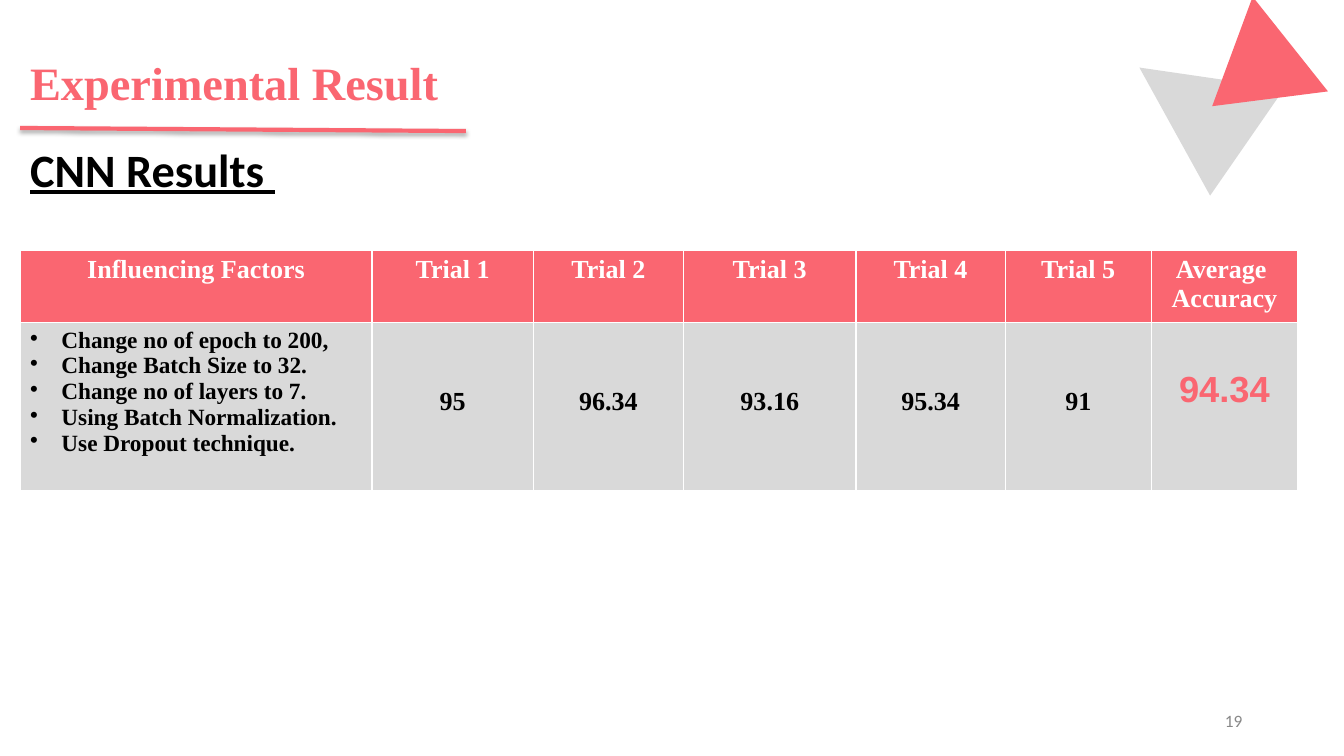
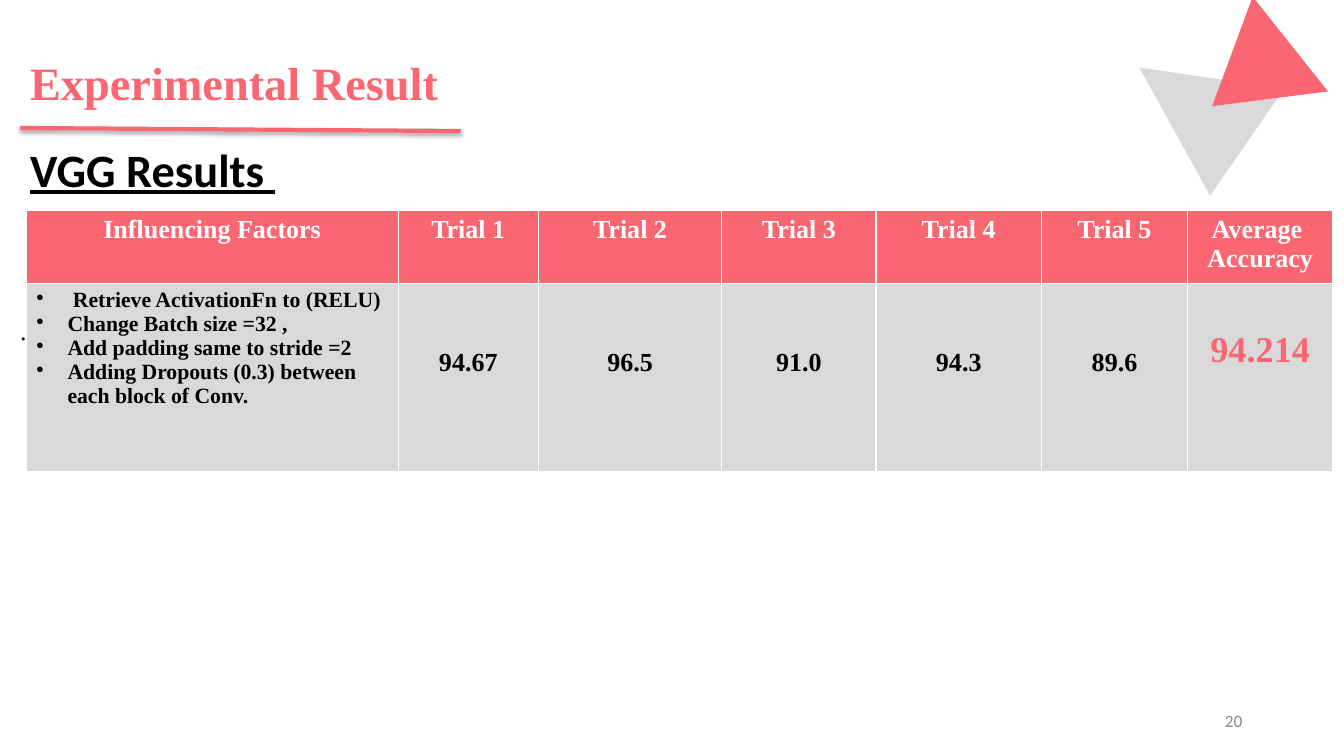
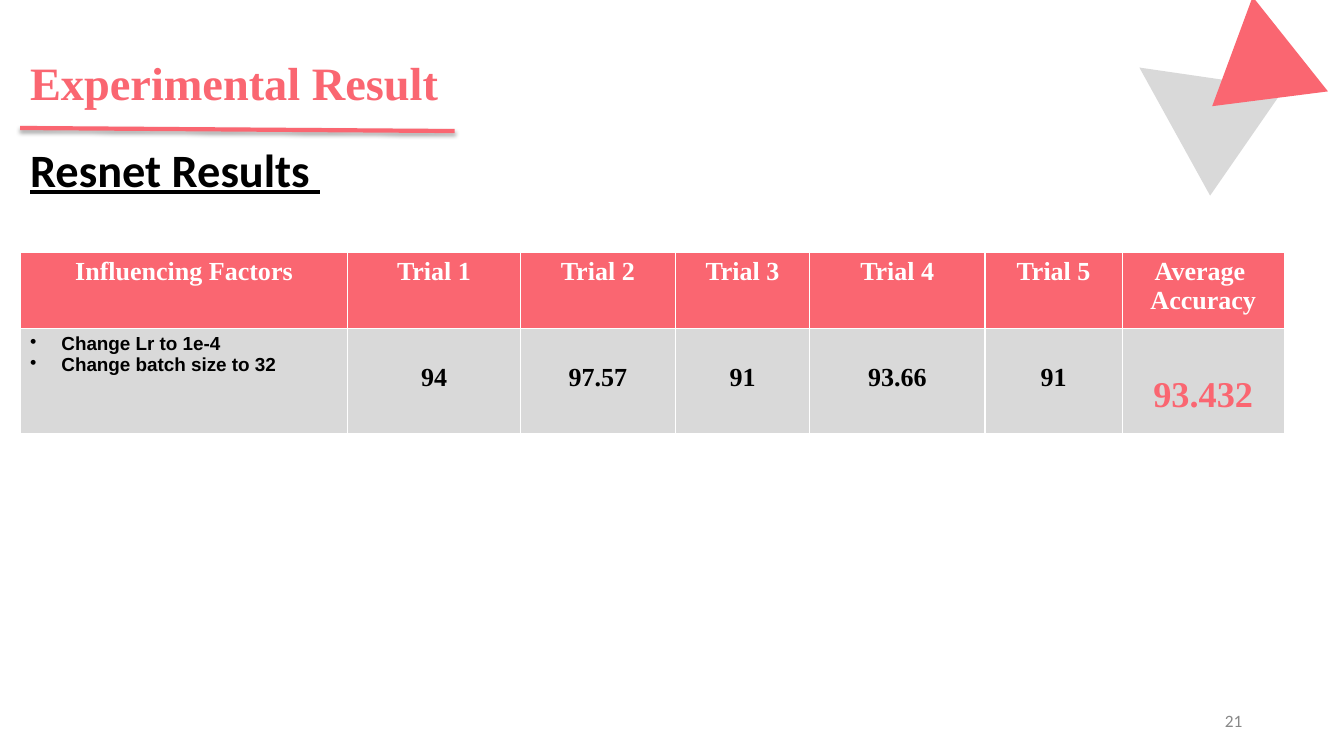
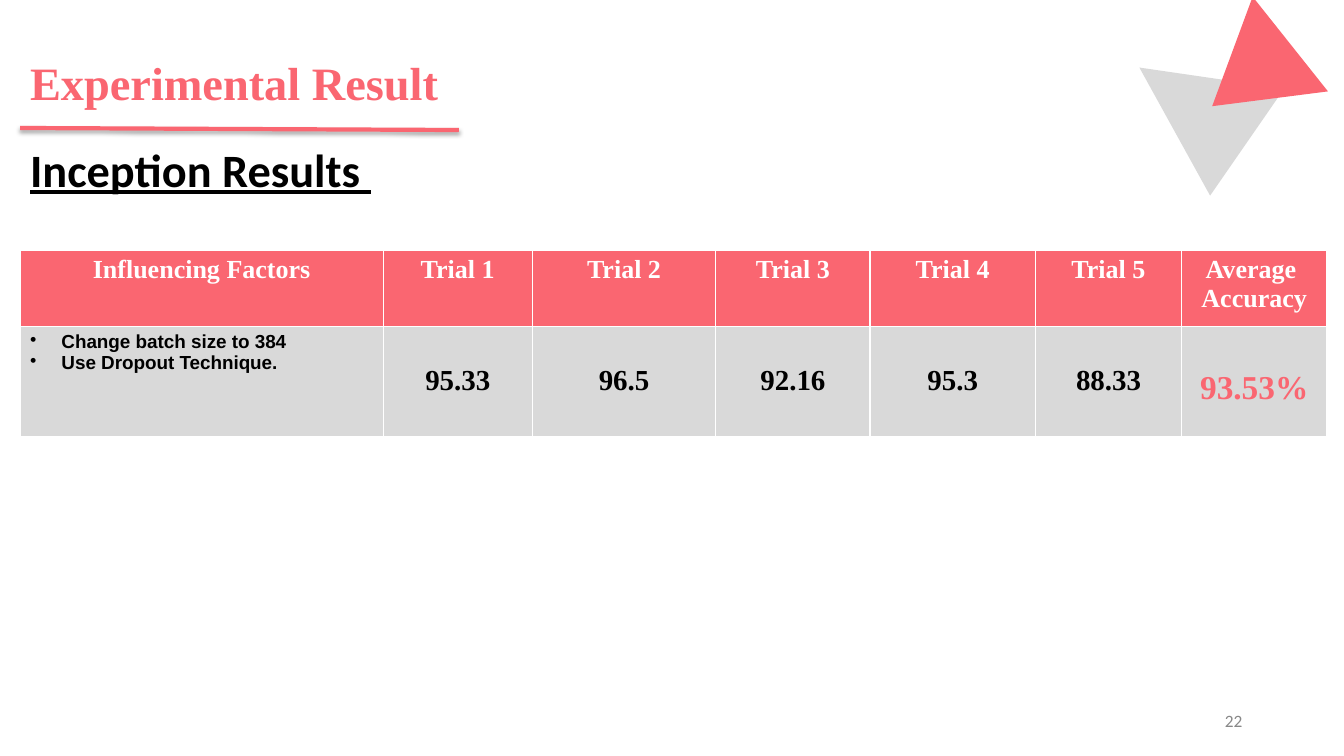
from dataclasses import dataclass

from pptx import Presentation
from pptx.dml.color import RGBColor
from pptx.enum.shapes import MSO_CONNECTOR, MSO_SHAPE
from pptx.enum.text import MSO_ANCHOR, PP_ALIGN
from pptx.oxml import parse_xml
from pptx.oxml.ns import nsdecls
from pptx.util import Emu, Pt

LEFT, CENTER, RIGHT = PP_ALIGN.LEFT, PP_ALIGN.CENTER, PP_ALIGN.RIGHT
TOP, MIDDLE, BOTTOM = MSO_ANCHOR.TOP, MSO_ANCHOR.MIDDLE, MSO_ANCHOR.BOTTOM
TRIANGLE = MSO_SHAPE.ISOSCELES_TRIANGLE
STRAIGHT = MSO_CONNECTOR.STRAIGHT

EMU_PER_PX = 9144
PX_PER_POINT = 100 / 72
LINE_HEIGHT = 1.15
INSET_X, INSET_Y = 10, 5
BULLET_INDENT = 31
FIRST_PAGE_NUMBER = 19
TRIALS = [f"Trial {number}" for number in range(1, 6)]


@dataclass(frozen=True)
class Theme:
    accent: str = "FA6671"
    panel: str = "D9D9D9"
    ink: str = "000000"
    paper: str = "FFFFFF"
    muted: str = "888888"
    serif: str = "Times New Roman"
    sans: str = "Calibri"
    plain: str = "Arial"
    heading: float = 33.1
    body: float = 18.6
    footer: float = 12.4


THEME = Theme()


@dataclass(frozen=True)
class Style:
    size: float
    font: str = THEME.serif
    color: str = THEME.ink
    bold: bool = True
    underline: bool = False


TITLE = Style(THEME.heading, color=THEME.accent)
SUBTITLE = Style(THEME.heading, THEME.sans, underline=True)
PAGE_NUMBER = Style(THEME.footer, THEME.sans, THEME.muted, bold=False)
STRAY_DOT = Style(THEME.body, bold=False)
TABLE_HEAD = Style(THEME.body, color=THEME.paper)


@dataclass(frozen=True)
class Result:
    """One model's slide: its factors, trial scores and table geometry."""
    subtitle: str
    rule_end: tuple
    table_at: tuple
    columns: tuple
    rows: tuple
    factors: tuple
    factor_style: Style
    scores: tuple
    average: str
    average_style: Style
    score_style: Style = Style(THEME.body)
    lines_above_score: int = 1
    dot: bool = False


RESULTS = [
    Result("CNN Results ", (462, 130), (20, 248),
           (349, 160, 149, 171, 148, 145, 145), (69, 167),
           ("Change no of epoch to 200,", "Change Batch Size to 32.",
            "Change no of layers to 7.", "Using Batch Normalization.",
            "Use Dropout technique."),
           Style(16.6), ("95", "96.34", "93.16", "95.34", "91"),
           "94.34", Style(25.9, THEME.plain, THEME.accent),
           lines_above_score=2),
    Result("VGG Results ", (457, 130), (26, 209),
           (369, 139, 182, 153, 164, 145, 144), (69, 187),
           (" Retrieve ActivationFn to (RELU)", "Change Batch size =32 ,",
            "Add padding same to stride =2",
            "Adding Dropouts (0.3) between each block of Conv."),
           Style(15.5), ("94.67", "96.5", "91.0", "94.3", "89.6"),
           "94.214", Style(25.9, color=THEME.accent),
           lines_above_score=2, dot=True),
    Result("Resnet Results ", (451, 130), (20, 250),
           (325, 171, 154, 133, 174, 136, 161), (76, 104),
           ("Change Lr to 1e-4", "Change batch size to 32"),
           Style(13.5, THEME.plain), ("94", "97.57", "91", "93.66", "91"),
           "93.432", Style(25.9, color=THEME.accent)),
    Result("Inception Results ", (455, 129), (20, 248),
           (360, 148, 182, 153, 164, 145, 144), (76, 109),
           ("Change batch size to 384", "Use Dropout Technique."),
           Style(13.5, THEME.plain),
           ("95.33", "96.5", "92.16", "95.3", "88.33"),
           "93.53%", Style(23.8, color=THEME.accent),
           score_style=Style(20.7)),
]


def px(length):
    return Emu(round(length * EMU_PER_PX))


def rgb(color):
    return RGBColor.from_string(color)


def add_span(para, text, style):
    span = para.add_run()
    span.text = text
    font = span.font
    font.name, font.size = style.font, Pt(style.size)
    font.bold, font.underline = style.bold, style.underline
    font.color.rgb = rgb(style.color)


def add_bullet(para):
    properties = para._p.get_or_add_pPr()
    properties.set("marL", str(px(BULLET_INDENT)))
    properties.set("indent", str(-px(BULLET_INDENT)))
    properties.append(parse_xml(
        f'<a:buClr {nsdecls("a")}><a:srgbClr val="{THEME.ink}"/></a:buClr>'))
    properties.append(parse_xml(f'<a:buChar {nsdecls("a")} char="•"/>'))


def write(frame, lines, style, align=LEFT, bullets=False):
    for index, line in enumerate(lines):
        para = frame.add_paragraph() if index else frame.paragraphs[0]
        para.alignment = align
        if bullets:
            add_bullet(para)
        add_span(para, line, style)


def add_text(page, area, text, style, align=LEFT, anchor=TOP, spacing=1.0):
    frame = page.shapes.add_textbox(*map(px, area)).text_frame
    frame.word_wrap = True
    frame.vertical_anchor = anchor
    frame.margin_left = frame.margin_right = px(INSET_X)
    frame.margin_top = frame.margin_bottom = px(INSET_Y)
    write(frame, [text], style, align)
    frame.paragraphs[0].line_spacing = spacing


def add_triangle(page, area, rotation, color):
    triangle = page.shapes.add_shape(TRIANGLE, *map(px, area))
    triangle.rotation = rotation
    triangle.shadow.inherit = False
    triangle.fill.solid()
    triangle.fill.fore_color.rgb = rgb(color)
    triangle.line.fill.background()


def add_title_rule(page, end):
    rule = page.shapes.add_connector(STRAIGHT, px(20), px(127), *map(px, end))
    rule.line.color.rgb = rgb(THEME.accent)
    rule.line.width = Pt(3)
    rule._element.spPr.append(parse_xml(
        f'<a:effectLst {nsdecls("a")}>'
        f'<a:outerShdw blurRad="{Pt(3.1)}" dist="{Pt(1.8)}" dir="5400000" '
        f'rotWithShape="0"><a:srgbClr val="{THEME.ink}">'
        '<a:alpha val="35000"/></a:srgbClr></a:outerShdw></a:effectLst>'))


def fill_cell(cell, lines, style, color, align=CENTER, bullets=False,
              lines_above=0):
    """Style one cell; lines_above lowers its text by that many lines."""
    properties = cell._tc.get_or_add_tcPr()
    for side in "LRTB":
        properties.append(parse_xml(
            f'<a:ln{side} {nsdecls("a")} w="{Pt(1)}"><a:solidFill>'
            f'<a:srgbClr val="{THEME.paper}"/></a:solidFill></a:ln{side}>'))
    cell.fill.solid()
    cell.fill.fore_color.rgb = rgb(color)
    cell.margin_left = cell.margin_right = px(INSET_X)
    drop = lines_above * style.size * LINE_HEIGHT * PX_PER_POINT
    cell.margin_top, cell.margin_bottom = px(INSET_Y + drop), px(INSET_Y)
    write(cell.text_frame, lines, style, align, bullets)


def add_result_table(page, result):
    size = (sum(result.columns), sum(result.rows))
    table = page.shapes.add_table(
        len(result.rows), len(result.columns),
        *map(px, result.table_at + size)).table
    table.horz_banding = False
    for column, width in zip(table.columns, result.columns):
        column.width = px(width)
    for row, height in zip(table.rows, result.rows):
        row.height = px(height)

    heads = [["Influencing Factors"], *([trial] for trial in TRIALS),
             ["Average ", "Accuracy"]]
    for index, head in enumerate(heads):
        fill_cell(table.cell(0, index), head, TABLE_HEAD, THEME.accent)

    fill_cell(table.cell(1, 0), result.factors, result.factor_style,
              THEME.panel, LEFT, bullets=True)
    for index, score in enumerate(result.scores, start=1):
        fill_cell(table.cell(1, index), [score], result.score_style,
                  THEME.panel, lines_above=result.lines_above_score)
    fill_cell(table.cell(1, len(heads) - 1), [result.average],
              result.average_style, THEME.panel, lines_above=1)


def add_result_page(deck, result, number):
    page = deck.slides.add_slide(deck.slide_layouts[6])
    add_text(page, (20, 49, 831, 63), "Experimental Result", TITLE)
    add_title_rule(page, result.rule_end)
    add_text(page, (942, 695, 300, 40), str(number), PAGE_NUMBER, RIGHT, MIDDLE)
    add_text(page, (20, 140, 671, 61), result.subtitle, SUBTITLE,
             anchor=BOTTOM, spacing=0.9)
    if result.dot:
        add_text(page, (10, 307, 1281, 40), ". ", STRAY_DOT)
    add_triangle(page, (1119, 39, 129, 130), 304.7, THEME.panel)
    add_triangle(page, (1181, 25, 120, 99), 231.5, THEME.accent)
    add_result_table(page, result)


def main():
    deck = Presentation()
    deck.slide_width, deck.slide_height = px(1333), px(750)
    for number, result in enumerate(RESULTS, start=FIRST_PAGE_NUMBER):
        add_result_page(deck, result, number)
    deck.save("out.pptx")


if __name__ == "__main__":
    main()
